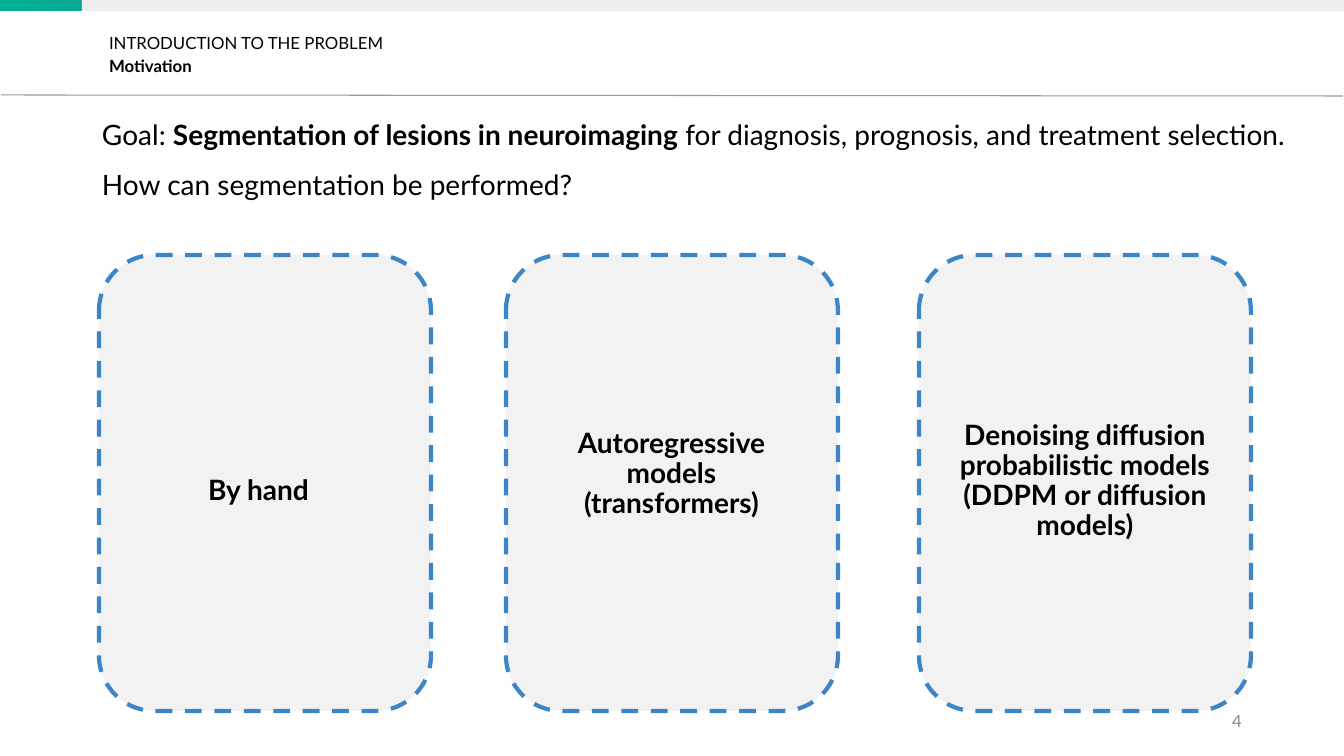
from dataclasses import dataclass

from pptx import Presentation
from pptx import util as u
from pptx.dml.color import RGBColor
from pptx.enum import dml, shapes, text
from pptx.oxml import parse_xml
from pptx.oxml.ns import nsdecls, qn

PX = 914400 / 100.8  # EMU per px


@dataclass(frozen=True)
class Theme:
    font: str = "Lato"
    ink: str = "000000"
    mute: str = "888888"
    rule: str = "999999"
    bar: str = "EEEEEE"
    card: str = "F2F2F2"
    edge: str = "3D85C6"
    grad: tuple = ((0, "013370"), (48, "3A5372"), (100, "00B396"))
    small: int = 12
    large: int = 20


T = Theme()
ALIGN = text.PP_ALIGN
MID = text.MSO_ANCHOR.MIDDLE
TOP = text.MSO_ANCHOR.TOP

# Left edge of each card, its label and the label's box
CARDS = [
    (99, "By hand", (142, 463, 233, 40), {}),
    (506, "Autoregressive models (transformers)",
     (555, 419, 233, 127), dict(lead=0.9, gap=10)),
    (919, "Denoising diffusion probabilistic models (DDPM or diffusion models)",
     (938, 411, 294, 142), dict(lead=0.9, gap=10)),
]


def emu(*vals):
    return [u.Emu(round(v * PX)) for v in vals]


def color(code):
    return RGBColor.from_string(code)


def write(shape, paras, size=T.large, ink=T.ink, align=ALIGN.LEFT,
          anchor=TOP, lead=1.0, gap=0, pad=10):
    """Fill a shape with paragraphs, each a list of (words, bold) runs."""
    frame = shape.text_frame
    frame.word_wrap = True
    frame.auto_size = text.MSO_AUTO_SIZE.NONE
    frame.vertical_anchor = anchor
    frame.margin_left, frame.margin_right = emu(10, 10)
    frame.margin_top, frame.margin_bottom = emu(pad, pad)
    for i, runs in enumerate(paras):
        para = frame.add_paragraph() if i else frame.paragraphs[0]
        para.alignment = align
        para.line_spacing = lead
        para.space_before = u.Pt(gap)
        for words, bold in runs:
            run = para.add_run()
            run.text = words
            run.font.name = T.font
            run.font.size = u.Pt(size)
            run.font.bold = bold
            run.font.color.rgb = color(ink)


def label(slide, box, paras, **fmt):
    write(slide.shapes.add_textbox(*emu(*box)), paras, **fmt)


def block(slide, kind, box, fill):
    shape = slide.shapes.add_shape(kind, *emu(*box))
    shape.shadow.inherit = False
    shape.fill.solid()
    shape.fill.fore_color.rgb = color(fill)
    shape.line.fill.background()
    return shape


def radial(shape, stops):
    """Swap the solid fill for a circular gradient centred at top right."""
    marks = "".join(
        f'<a:gs pos="{pos * 1000}"><a:srgbClr val="{code}"/></a:gs>'
        for pos, code in stops)
    grad = parse_xml(
        f'<a:gradFill {nsdecls("a")}><a:gsLst>{marks}</a:gsLst>'
        '<a:path path="circle"><a:fillToRect l="100000" b="100000"/></a:path>'
        '</a:gradFill>')
    props = shape.element.spPr
    props.replace(props.find(qn("a:solidFill")), grad)


def rule(slide, ends):
    line = slide.shapes.add_connector(shapes.MSO_CONNECTOR.STRAIGHT, *emu(*ends))
    line.line.color.rgb = color(T.rule)
    line.line.width = u.Pt(0.75)
    line.element.spPr.append(parse_xml(f'<a:effectLst {nsdecls("a")}/>'))


def card(slide, left):
    kind = shapes.MSO_SHAPE.ROUNDED_RECTANGLE
    shape = block(slide, kind, (left, 255, 332, 456), T.card)
    shape.adjustments[0] = 0.167
    shape.line.color.rgb = color(T.edge)
    shape.line.width = u.Pt(3)
    shape.line.dash_style = dml.MSO_LINE.DASH


def main():
    deck = Presentation()
    deck.slide_width, deck.slide_height = emu(1344, 756)
    slide = deck.slides.add_slide(deck.slide_layouts[5])

    # Header: title, progress bar and rule
    title = slide.shapes.title
    title.left, title.top, title.width, title.height = emu(99, 11, 319, 84)
    write(title, [[("INTRODUCTION TO THE PROBLEM", False)],
                  [("Motivation", True)]],
          size=T.small, anchor=MID, lead=1.15)
    rect = shapes.MSO_SHAPE.RECTANGLE
    radial(block(slide, rect, (0, 0, 1344, 11), T.bar), T.grad)
    block(slide, rect, (82, 0, 1262, 11), T.bar)
    rule(slide, (1, 95, 1343, 96))

    # Goal and question
    label(slide, (92, 116, 1209, 178), [
        [("Goal: ", False),
         ("Segmentation of lesions in neuroimaging", True),
         (" for diagnosis, prognosis, and treatment selection.", False)],
        [("How can segmentation be performed?", False)],
    ], lead=0.9, gap=14, pad=5)

    # Three ways to segment
    for left, words, box, fmt in CARDS:
        card(slide, left)
        label(slide, box, [[(words, True)]], align=ALIGN.CENTER, **fmt)

    # Page number
    label(slide, (950, 701, 302, 40), [[("4", False)]], size=T.small,
          ink=T.mute, align=ALIGN.RIGHT, anchor=MID, pad=5)

    deck.save("out.pptx")


if __name__ == "__main__":
    main()
